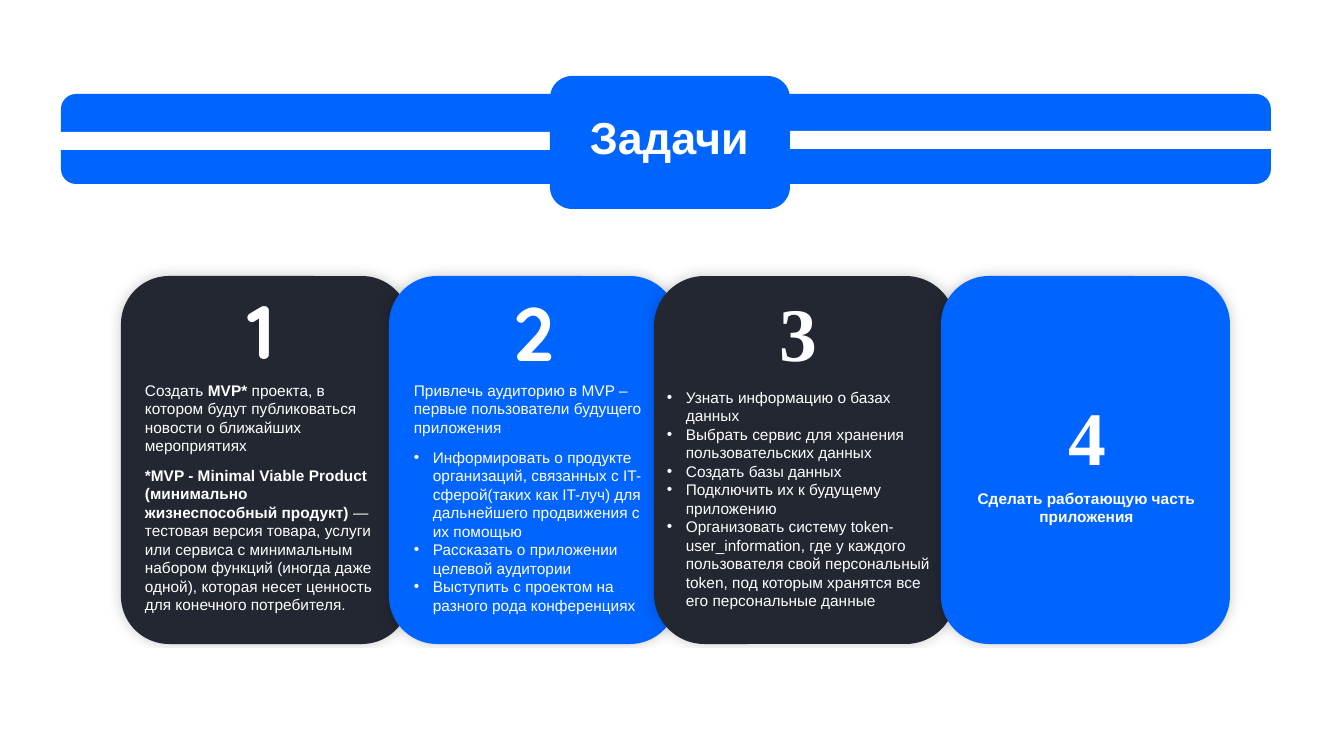
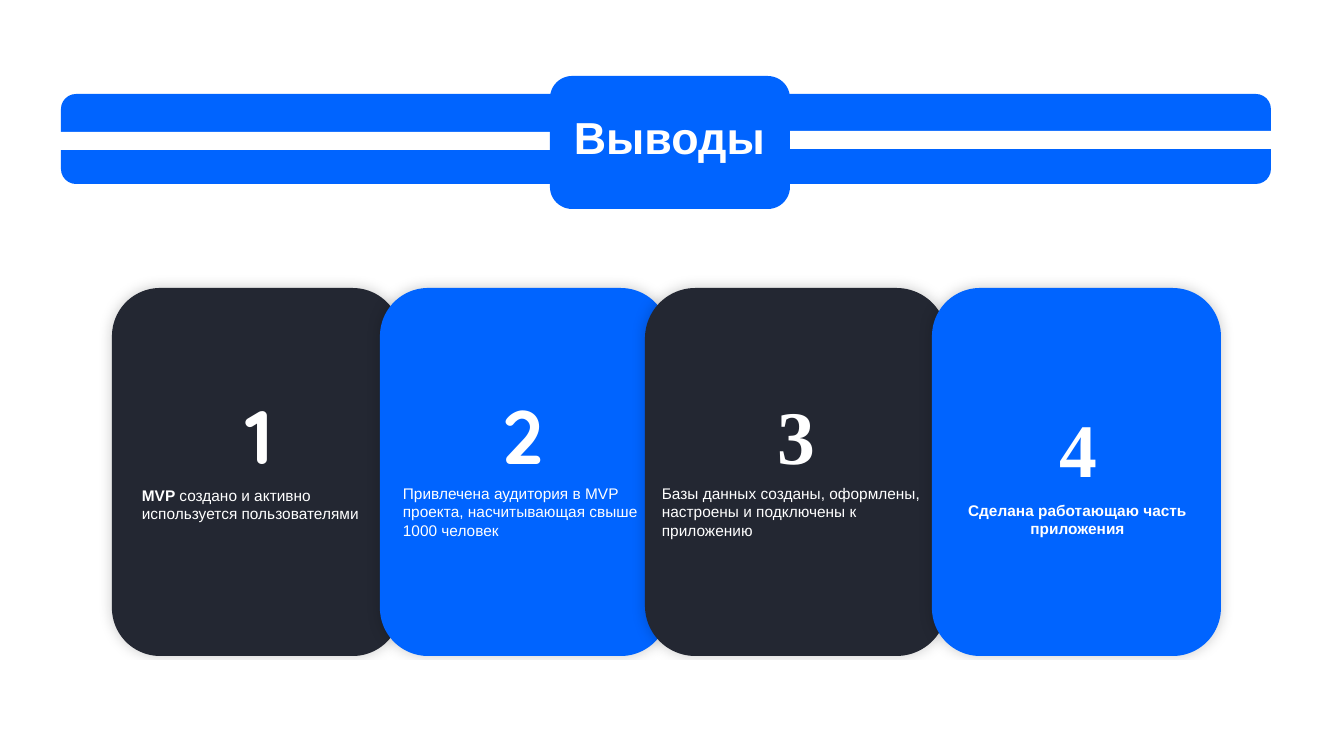
from lxml import etree
from pptx import Presentation
from pptx import util as u
from pptx.dml.color import RGBColor
from pptx.enum import shapes, text
from pptx.oxml.ns import qn

SCALE = 914400 / 100.8
BLUE, DARK, WHITE = "0064FF", "232732", "FFFFFF"
BODY_FONT = "Arial"
NUMBER_FONTS = ["Quicksand", "Quicksand", "Times New Roman", "Times New Roman"]
CARD_LEFTS = [0, 268, 533, 820]
CARD_WIDTHS = [289, 289, 302, 289]
CARD_HEIGHT = 368
TEXT_WIDTHS = [259, 259, 284, 259]
NUMBER_WIDTH, NUMBER_HEIGHT = 100, 102
BULLET_INDENT = 19


def px(value):
    return u.Emu(round(value * SCALE))


def color(value):
    return RGBColor.from_string(value)


def add_round_box(parent, left, top, width, height, fill):
    shape = parent.shapes.add_shape(
        shapes.MSO_SHAPE.ROUNDED_RECTANGLE, px(left), px(top), px(width), px(height))
    shape.shadow.inherit = False
    shape.fill.solid()
    shape.fill.fore_color.rgb = color(fill)
    shape.line.fill.background()
    return shape


def add_soft_shadow(shape):
    effects = shape._element.spPr.find(qn("a:effectLst"))
    shadow = etree.SubElement(effects, qn("a:outerShdw"), blurRad=str(u.Pt(10)),
                              dist="0", dir="0", algn="ctr", rotWithShape="0")
    shade = etree.SubElement(shadow, qn("a:srgbClr"), val="000000")
    etree.SubElement(shade, qn("a:alpha"), val="20000")


def add_bullet(paragraph):
    properties = paragraph._p.get_or_add_pPr()
    properties.set("marL", str(px(BULLET_INDENT)))
    properties.set("indent", str(-px(BULLET_INDENT)))
    etree.SubElement(properties, qn("a:buFont"), typeface=BODY_FONT)
    etree.SubElement(properties, qn("a:buChar"), char="•")


def add_text(slide, paragraphs, left, top, width, height, size=11, font=BODY_FONT,
             bold=False, centered=False, bullets=False):
    frame = slide.shapes.add_textbox(px(left), px(top), px(width), px(height)).text_frame
    frame.word_wrap = True
    frame.auto_size = text.MSO_AUTO_SIZE.SHAPE_TO_FIT_TEXT
    for index, content in enumerate(paragraphs):
        paragraph = frame.add_paragraph() if index else frame.paragraphs[0]
        paragraph.alignment = text.PP_ALIGN.CENTER if centered else text.PP_ALIGN.LEFT
        if bullets:
            add_bullet(paragraph)
        for position, part in enumerate(content.split("|")):
            if part:
                run = paragraph.add_run()
                run.text = part
                run.font.name = font
                run.font.size = u.Pt(size)
                run.font.bold = bold or position % 2 == 1
                run.font.color.rgb = color(WHITE)


def add_banner(slide, title, left, top):
    banner = slide.shapes.add_group_shape()
    add_round_box(banner, left, top + 18, 1210, 90, BLUE)
    add_round_box(banner, left - 43, top + 56, 553, 18, WHITE)
    add_round_box(banner, left + 708, top + 55, 536, 18, WHITE)
    add_round_box(banner, left + 489, top, 240, 133, BLUE)
    add_text(slide, [title], left + 479, top + 29, 259, 65, size=32, bold=True, centered=True)


def add_card(slide, index, card, left, top):
    fill = BLUE if index % 2 else DARK
    add_soft_shadow(add_round_box(slide, left, top, CARD_WIDTHS[index], CARD_HEIGHT, fill))
    center, number_top = card["number"]
    add_text(slide, [str(index + 1)], left + center - NUMBER_WIDTH // 2, top + number_top,
             NUMBER_WIDTH, NUMBER_HEIGHT, size=54, font=NUMBER_FONTS[index],
             bold=True, centered=True)
    for text_top, height, paragraphs, style in card["texts"]:
        add_text(slide, paragraphs, left + card["indent"], top + text_top,
                 TEXT_WIDTHS[index], height, **style)


def add_cards_slide(presentation, title, left, top, cards):
    slide = presentation.slides.add_slide(presentation.slide_layouts[6])
    for index, card in enumerate(cards):
        add_card(slide, index, card, left + CARD_LEFTS[index], top)
    add_round_box(slide, left - 88, top + 372, 1262, 21, WHITE)
    add_banner(slide, title, 61, 76)


PLAIN = {}
BULLETS = {"bullets": True}
HEADLINE = {"bold": True, "centered": True}

TASKS = [
    {"number": (140, 3), "indent": 14, "texts": [
        (100, 85, ["Создать |MVP* |проекта, в котором будут публиковаться новости "
                   "о ближайших мероприятиях"], PLAIN),
        (185, 159, ["|*MVP - Minimal Viable Product (минимально жизнеспособный продукт)|"
                    " — тестовая версия товара, услуги или сервиса с минимальным набором "
                    "функций (иногда даже одной), которая несет ценность для конечного "
                    "потребителя."], PLAIN)]},
    {"number": (145, 5), "indent": 15, "texts": [
        (100, 66, ["Привлечь аудиторию в MVP – первые пользователи будущего приложения"],
         PLAIN),
        (167, 178, ["Информировать о продукте организаций, связанных с IT-сферой(таких как "
                    "IT-луч) для дальнейшего продвижения с их помощью",
                    "Рассказать о приложении целевой аудитории",
                    "Выступить с проектом на разного рода конференциях"], BULLETS)]},
    {"number": (144, 5), "indent": 3, "texts": [
        (107, 234, ["Узнать информацию о базах данных",
                    "Выбрать сервис для хранения пользовательских данных",
                    "Создать базы данных",
                    "Подключить их к будущему приложению",
                    "Организовать систему token-user_information, где у каждого "
                    "пользователя свой персональный token, под которым хранятся все его "
                    "персональные данные"], BULLETS)]},
    {"number": (146, 109), "indent": 16, "texts": [
        (208, 47, ["Сделать работающую часть приложения"], HEADLINE)]},
]

CONCLUSIONS = [
    {"number": (147, 96), "indent": 20, "texts": [
        (193, 47, ["|MVP |создано и активно используется пользователями"], PLAIN)]},
    {"number": (143, 96), "indent": 13, "texts": [
        (191, 66, ["Привлечена аудитория в MVP проекта, насчитывающая свыше 1000 человек"],
         PLAIN)]},
    {"number": (151, 96), "indent": 7, "texts": [
        (191, 66, ["Базы данных созданы, оформлены, настроены и подключены к приложению"],
         PLAIN)]},
    {"number": (146, 109), "indent": 16, "texts": [
        (208, 47, ["Сделана работающаю часть приложения"], HEADLINE)]},
]


def main():
    presentation = Presentation()
    presentation.slide_width = px(1344)
    presentation.slide_height = px(756)
    add_cards_slide(presentation, "Задачи", 121, 276, TASKS)
    add_cards_slide(presentation, "Выводы", 112, 288, CONCLUSIONS)
    presentation.save("out.pptx")


if __name__ == "__main__":
    main()
